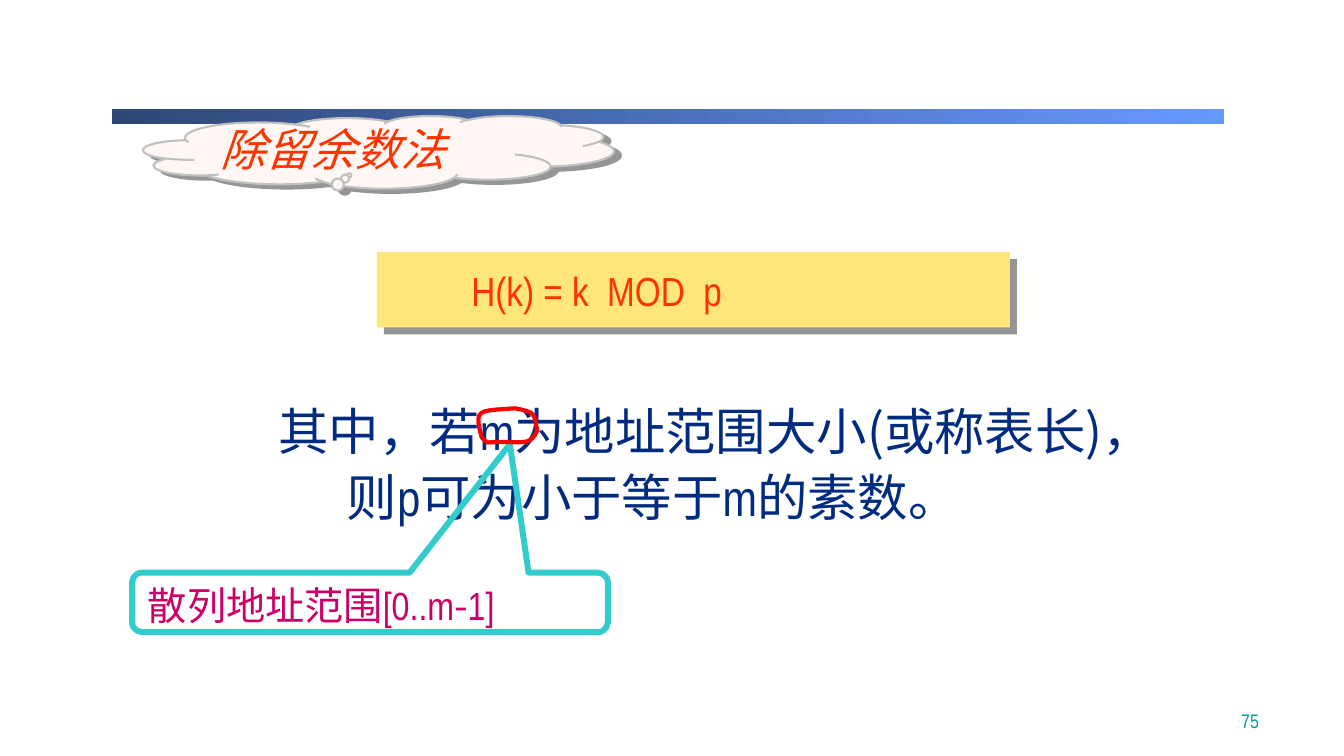
"""Build the slide on the division-remainder hashing method."""
from dataclasses import dataclass
from typing import Optional

from lxml.etree import SubElement
from pptx import Presentation
from pptx.dml.color import RGBColor
from pptx.enum.shapes import MSO_SHAPE
from pptx.enum.text import MSO_ANCHOR, MSO_AUTO_SIZE, PP_ALIGN
from pptx.oxml.ns import qn
from pptx.util import Cm, Pt

NARROW, CJK = "Arial Narrow", "Noto Sans CJK SC"
RED, NAVY, MAGENTA, TEAL = "FF3300", "002B80", "CC0066", "009EA1"
SHADOW = "969696"


@dataclass
class Box:
    left: float
    top: float
    width: float
    height: float

    def lengths(self) -> tuple:
        return Cm(self.left), Cm(self.top), Cm(self.width), Cm(self.height)


@dataclass
class Panel:
    kind: MSO_SHAPE
    box: Box
    fill: Optional[str] = None
    line: Optional[str] = None
    weight: float = 0
    adjust: tuple = ()
    shadow: Optional[tuple] = None


@dataclass
class Words:
    box: Box
    lines: list
    size: float
    color: str
    italic: bool = False
    shadow: bool = False
    align: PP_ALIGN = PP_ALIGN.LEFT
    anchor: MSO_ANCHOR = MSO_ANCHOR.TOP
    spacing: float = 1.0
    indents: tuple = (0,)


BAR = Panel(MSO_SHAPE.RECTANGLE, Box(2.82, 2.74, 28.02, 0.38))
FORMULA = Panel(MSO_SHAPE.RECTANGLE, Box(9.5, 6.35, 15.95, 1.9), "FFE67B", shadow=(7.1, 45))
CLOUD = Panel(MSO_SHAPE.CLOUD_CALLOUT, Box(3.61, 2.92, 11.86, 1.83), "FEF7F4", "C0C0C0", 1.5,
              (-0.062, 0.319), (5.8, 31))
CALLOUT = Panel(MSO_SHAPE.ROUNDED_RECTANGULAR_CALLOUT, Box(3.33, 14.43, 11.99, 1.5),
                line="33CCCC", weight=4.25, adjust=(0.294, -2.656, 0.167))

FORMULA_TEXT = Words(Box(11.63, 6.58, 12.27, 1.47), [[("H(k) = k  MOD  p", NARROW)]],
                     29, RED, shadow=True)
TITLE = Words(Box(5.31, 2.95, 10.44, 1.6), [[("除留余数法", CJK)]], 32, RED,
              italic=True, shadow=True)
BODY = Words(Box(6.76, 9.8, 25.12, 3.48), [
    [("其中，若", CJK), ("m", NARROW), ("为地址范围大小(或称表长)，", CJK)],
    [("则", CJK), ("p可", NARROW), ("为小于等于", CJK), ("m", NARROW), ("的素数。", CJK)],
], 36, NAVY, spacing=1.1, indents=(0, 1.73))
RANGE_TEXT = Words(Box(3.48, 14.53, 13.06, 1.45),
                   [[("散列地址范围[0..m", NARROW), ("-", CJK), ("1]", NARROW)]], 28, MAGENTA)
NUMBER = Words(Box(24.92, 17.3, 7.06, 1.27), [[("75", NARROW)]], 14, TEAL,
               align=PP_ALIGN.RIGHT, anchor=MSO_ANCHOR.BOTTOM)

LOOP_START = (12.98, 10.29)
LOOP_CURVES = [
    ((12.04, 10.36), (11.94, 10.29), (12.14, 11.02)),
    ((12.17, 11.07), (12.24, 11.1), (12.27, 11.15)),
    ((13.18, 11.1), (13.34, 11.28), (13.54, 10.85)),
    ((13.46, 10.46), (13.54, 10.39), LOOP_START),
]


def rgb(color: str) -> RGBColor:
    return RGBColor.from_string(color)


def add_shadow(props, color: str, distance: float, angle: float) -> None:
    effects = props.find(qn("a:effectLst"))
    if effects is None:
        effects = SubElement(props, qn("a:effectLst"))
    outer = SubElement(effects, qn("a:outerShdw"), dist=str(Pt(distance)),
                       dir=str(angle * 60000), algn="ctr", rotWithShape="0")
    SubElement(outer, qn("a:srgbClr"), val=color)


def style(sp, fill: Optional[str], line: Optional[str], weight: float) -> None:
    sp.shadow.inherit = False
    if fill:
        sp.fill.solid()
        sp.fill.fore_color.rgb = rgb(fill)
    else:
        sp.fill.background()
    if line:
        sp.line.color.rgb = rgb(line)
        sp.line.width = Pt(weight)
    else:
        sp.line.fill.background()


def add_panel(s, panel: Panel):
    sp = s.shapes.add_shape(panel.kind, *panel.box.lengths())
    for i, value in enumerate(panel.adjust):
        sp.adjustments[i] = value
    style(sp, panel.fill, panel.line, panel.weight)
    if panel.shadow:
        add_shadow(sp.element.spPr, SHADOW, *panel.shadow)
    return sp


def add_bar(s) -> None:
    sp = add_panel(s, BAR)
    sp.fill.gradient()
    sp.fill.gradient_angle = 0
    for stop, color, position in zip(sp.fill.gradient_stops, ("2F4776", "6699FF"), (0, 1)):
        stop.color.rgb = rgb(color)
        stop.position = position


def write(sp, words: Words) -> None:
    sp.left, sp.top, sp.width, sp.height = words.box.lengths()
    tf = sp.text_frame
    tf.word_wrap = True
    tf.auto_size = MSO_AUTO_SIZE.NONE
    tf.vertical_anchor = words.anchor
    for i, (runs, indent) in enumerate(zip(words.lines, words.indents)):
        p = tf.add_paragraph() if i else tf.paragraphs[0]
        p.alignment = words.align
        p.line_spacing = words.spacing
        p.space_before = Pt(0)
        pPr = p._p.get_or_add_pPr()
        pPr.set("marL", "0")
        pPr.set("indent", str(Cm(indent)))
        SubElement(pPr, qn("a:buNone"))
        for text, font in runs:
            r = p.add_run()
            r.text = text
            r.font.size = Pt(words.size)
            r.font.italic = words.italic
            r.font.color.rgb = rgb(words.color)
            rPr = r._r.get_or_add_rPr()
            if words.shadow:
                add_shadow(rPr, "000000", 2, 45)
            r.font.name = font
            SubElement(rPr, qn("a:ea"), typeface=CJK)


def add_text(s, words: Words) -> None:
    write(s.shapes.add_textbox(*words.box.lengths()), words)


def fill_placeholder(s, sp, words: Words) -> None:
    write(sp, words)
    s.shapes.element.append(sp.element)


def curve_points(start: tuple, curves: list, steps: int = 10) -> list:
    points = []
    for c1, c2, end in curves:
        for t in (i / steps for i in range(1, steps + 1)):
            u = 1 - t
            points.append(tuple(
                Cm(u**3 * a + 3 * u * u * t * b + 3 * u * t * t * c + t**3 * d)
                for a, b, c, d in zip(start, c1, c2, end)))
        start = end
    return points


def add_loop(s) -> None:
    builder = s.shapes.build_freeform(Cm(LOOP_START[0]), Cm(LOOP_START[1]))
    builder.add_line_segments(curve_points(LOOP_START, LOOP_CURVES), close=True)
    style(builder.convert_to_shape(), None, "FF0000", 3)


def main() -> None:
    prs = Presentation()
    prs.slide_width, prs.slide_height = Cm(33.87), Cm(19.05)
    s = prs.slides.add_slide(prs.slide_layouts[1])
    title, body = s.shapes.title, s.placeholders[1]
    add_bar(s)
    add_panel(s, FORMULA)
    add_text(s, FORMULA_TEXT)
    fill_placeholder(s, body, BODY)
    add_panel(s, CLOUD)
    fill_placeholder(s, title, TITLE)
    add_panel(s, CALLOUT)
    add_text(s, RANGE_TEXT)
    add_loop(s)
    add_text(s, NUMBER)
    prs.save("out.pptx")


if __name__ == "__main__":
    main()
